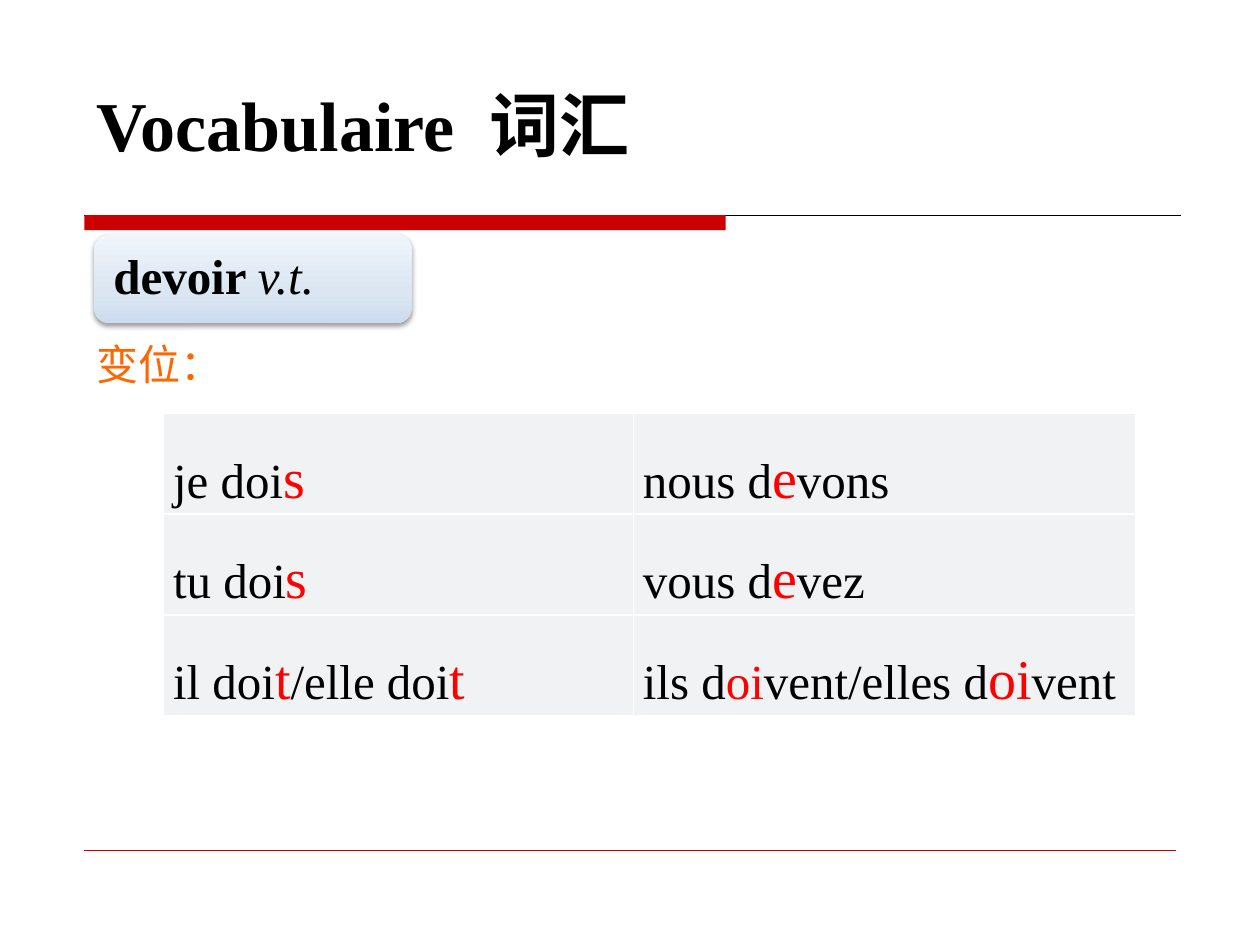
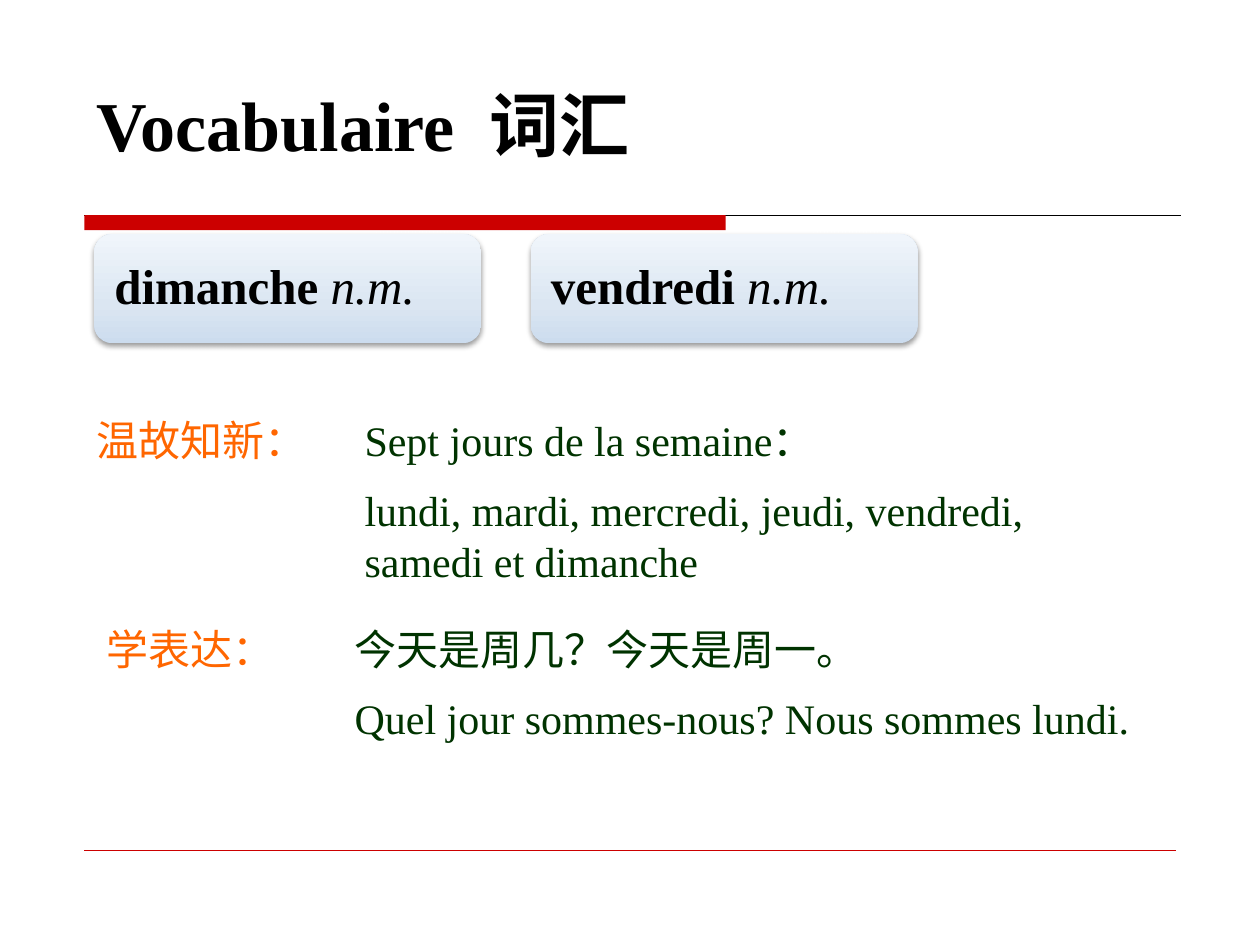
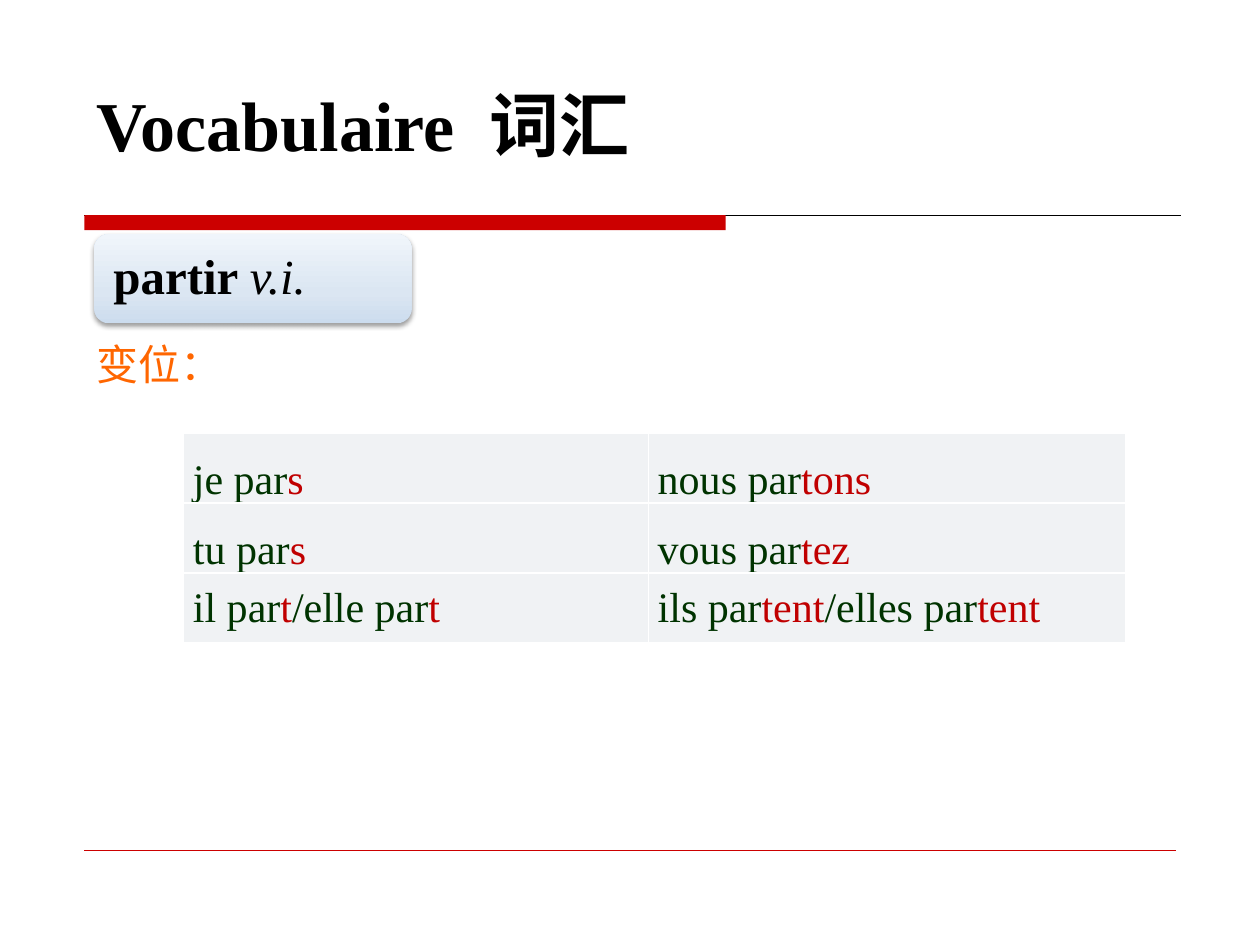
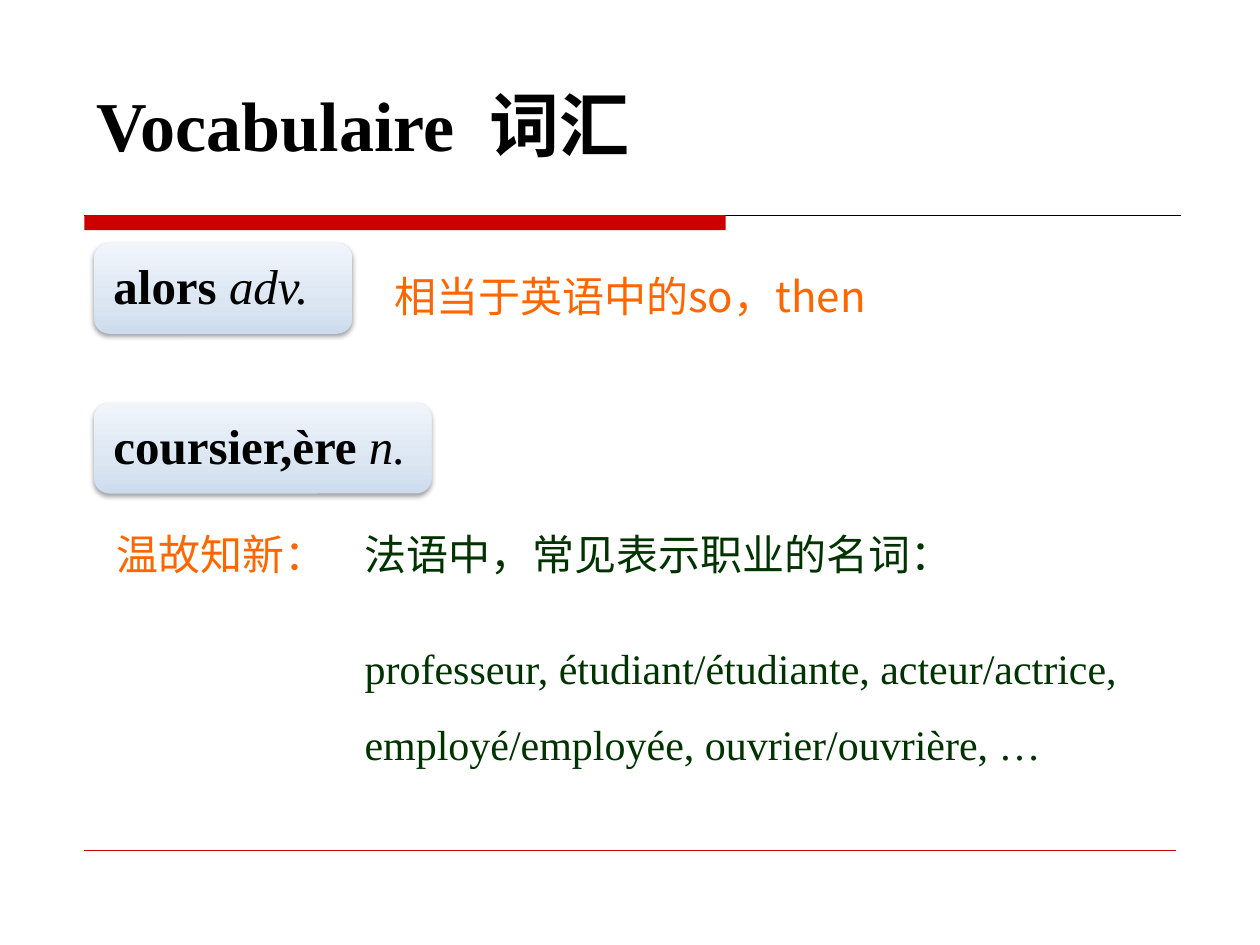
from lxml import etree
from pptx import Presentation
from pptx.dml.color import RGBColor
from pptx.enum.shapes import MSO_CONNECTOR, MSO_SHAPE
from pptx.enum.text import MSO_ANCHOR, MSO_AUTO_SIZE, PP_ALIGN
from pptx.oxml.ns import qn
from pptx.util import Cm, Pt

ROUNDED = MSO_SHAPE.ROUNDED_RECTANGLE
RECTANGLE = MSO_SHAPE.RECTANGLE
STRAIGHT = MSO_CONNECTOR.STRAIGHT
LEFT = PP_ALIGN.LEFT
JUSTIFY = PP_ALIGN.JUSTIFY
TOP = MSO_ANCHOR.TOP
MIDDLE = MSO_ANCHOR.MIDDLE
GROW = MSO_AUTO_SIZE.SHAPE_TO_FIT_TEXT
NO_FIT = MSO_AUTO_SIZE.NONE

LATIN = "Times New Roman"
CHINESE = "Noto Sans CJK SC"
BLACK = "000000"
WHITE = "FFFFFF"
BAND_RED = "CC0000"
ORANGE = "FF6600"
GREEN = "003300"
CELL_GREY = "F0F2F4"
WORD_GRADIENT = ((0, "CCDCEE"), (35, "DBE6F2"), (100, "F0F5FB"))

MARGIN = 1.7
TITLE_ONLY = 5


def color(value):
    return RGBColor.from_string(value)


def sub(parent, tag, **attributes):
    return etree.SubElement(parent, qn(tag), attributes)


def style(run, size, ink, face=LATIN, bold=False, italic=False):
    font = run.font
    font.name = face
    font.size = Pt(size)
    font.bold = bold
    font.italic = italic
    font.color.rgb = color(ink)
    sub(font._element, "a:ea", typeface=CHINESE)


def add_run(paragraph, text, *looks, **options):
    run = paragraph.add_run()
    run.text = text
    style(run, *looks, **options)
    return run


def add_rule(slide, left, right, y, ink, weight):
    rule = slide.shapes.add_connector(STRAIGHT, Cm(left), Cm(y), Cm(right), Cm(y))
    rule.line.color.rgb = color(ink)
    rule.line.width = Pt(weight)
    sub(rule._element.spPr, "a:effectLst")


def add_band(slide):
    band = slide.shapes.add_shape(RECTANGLE, Cm(MARGIN), Cm(4.34), Cm(12.93), Cm(0.3))
    band.shadow.inherit = False
    band.fill.solid()
    band.fill.fore_color.rgb = color(BAND_RED)
    band.line.fill.background()


def set_title(slide):
    title = slide.shapes.title
    title.left, title.top, title.width, title.height = Cm(MARGIN), Cm(1.52), Cm(19.8), Cm(1.96)
    frame = title.text_frame
    frame.word_wrap = True
    frame.auto_size = NO_FIT
    frame.vertical_anchor = TOP
    heading = frame.paragraphs[0]
    heading.alignment = LEFT
    add_run(heading, "Vocabulaire", 40, BLACK, bold=True)
    gap = add_run(heading, " ", 40, BLACK, bold=True)
    gap.font._element.set("spc", "1000")
    add_run(heading, "词汇", 40, BLACK, bold=True)


def add_vocabulary_slide(deck):
    slide = deck.slides.add_slide(deck.slide_layouts[TITLE_ONLY])
    add_rule(slide, MARGIN, 23.8, 4.34, BLACK, 0.75)
    add_band(slide)
    add_rule(slide, MARGIN, 23.7, 17.15, BAND_RED, 0.25)
    set_title(slide)
    return slide


def add_word(slide, word, category, left, top, width, height):
    card = slide.shapes.add_shape(ROUNDED, Cm(left), Cm(top), Cm(width), Cm(height))
    card.line.fill.background()
    card.fill.gradient()
    card.fill.gradient_angle = 90
    properties = card._element.spPr
    stops = properties.find(".//" + qn("a:gsLst"))
    stops.clear()
    for position, tint in WORD_GRADIENT:
        stop = sub(stops, "a:gs", pos=str(position * 1000))
        sub(stop, "a:srgbClr", val=tint)
    card.shadow.inherit = False
    shadow = sub(properties.find(qn("a:effectLst")), "a:outerShdw", blurRad=str(Pt(3.1)),
                 dist=str(Pt(1.6)), dir="5400000", rotWithShape="0")
    sub(sub(shadow, "a:srgbClr", val=BLACK), "a:alpha", val="38000")
    frame = card.text_frame
    frame.word_wrap = True
    frame.vertical_anchor = MIDDLE
    frame.margin_left = Cm(0.3)
    frame.margin_right = 0
    entry = frame.paragraphs[0]
    entry.alignment = LEFT
    entry.line_spacing = 0.9
    add_run(entry, word + " ", 28, BLACK, bold=True)
    add_run(entry, category, 28, BLACK, italic=True)


def add_text(slide, text, left, top, width, height=1.3, ink=GREEN, face=LATIN, spacing=None):
    box = slide.shapes.add_textbox(Cm(left), Cm(top), Cm(width), Cm(height))
    frame = box.text_frame
    frame.word_wrap = True
    frame.auto_size = GROW
    frame.text = text
    for paragraph in frame.paragraphs:
        paragraph.line_spacing = spacing
        for run in paragraph.runs:
            style(run, 24, ink, face)


def add_label(slide, text, left, top, width=5):
    add_text(slide, text, left, top, width, ink=ORANGE, face=CHINESE)


def add_borders(cell):
    properties = cell._tc.get_or_add_tcPr()
    for place, side in enumerate(("a:lnL", "a:lnR", "a:lnT", "a:lnB")):
        border = etree.Element(qn(side), w=str(Pt(1)))
        sub(sub(border, "a:solidFill"), "a:srgbClr", val=WHITE)
        properties.insert(place, border)


def fill_cell(cell, marked, plain, accent, spacing):
    cell.fill.solid()
    cell.fill.fore_color.rgb = color(CELL_GREY)
    cell.vertical_anchor = MIDDLE
    cell.margin_left = cell.margin_right = Cm(0.19)
    cell.margin_top = cell.margin_bottom = 0
    add_borders(cell)
    form = cell.text_frame.paragraphs[0]
    form.alignment = JUSTIFY
    form.line_spacing = spacing
    for index, part in enumerate(marked.split("|")):
        add_run(form, part, *(accent if index % 2 else plain))


def add_conjugation(slide, forms, left, top, widths, row_height, plain, accent, spacings):
    frame = slide.shapes.add_table(len(forms), len(widths), Cm(left), Cm(top),
                                   Cm(sum(widths)), Cm(row_height * len(forms)))
    table = frame.table
    table.first_row = False
    table.horz_banding = False
    for column, width in zip(table.columns, widths):
        column.width = Cm(width)
    for row, row_forms, spacing in zip(table.rows, forms, spacings):
        row.height = Cm(row_height)
        for cell, marked in zip(row.cells, row_forms):
            fill_cell(cell, marked, plain, accent, spacing)
    return table


def build_devoir(deck):
    slide = add_vocabulary_slide(deck)
    add_word(slide, "devoir", "v.t.", 1.9, 4.72, 6.4, 1.8)
    add_label(slide, "变位：", MARGIN, 6.7)
    forms = (("je doi|s", "nous d|e|vons"),
             ("tu doi|s", "vous d|e|vez"),
             ("il doi|t|/elle doi|t", "ils d|oi|vent/elles d|oi|vent"))
    table = add_conjugation(slide, forms, 3.3, 8.33, (9.47, 10.13), 2.03,
                            (28, BLACK), (32, "FF0000"), (1.5, 1.5, 1.5))
    ils_ending = table.cell(2, 1).text_frame.paragraphs[0].runs[1]
    ils_ending.font.size = Pt(28)


def build_days(deck):
    slide = add_vocabulary_slide(deck)
    for day, left in (("dimanche", 1.9), ("vendredi", 10.7)):
        add_word(slide, day, "n.m.", left, 4.72, 7.8, 2.2)
    add_label(slide, "温故知新：", MARGIN, 8.23)
    add_text(slide, "Sept jours de la semaine：", 7.1, 8.23, 15.4)
    add_text(slide, "lundi, mardi, mercredi, jeudi, vendredi, samedi et dimanche",
             7.1, 9.65, 14.2, 2.31)
    add_label(slide, "学表达：", 1.9, 12.45)
    add_text(slide, "今天是周几？今天是周一。", 6.9, 12.45, 15.4)
    add_text(slide, "Quel jour sommes-nous? Nous sommes lundi.", 6.9, 13.84, 16.2)


def build_partir(deck):
    slide = add_vocabulary_slide(deck)
    add_word(slide, "partir", "v.i.", 1.9, 4.72, 6.4, 1.8)
    add_label(slide, "变位：", MARGIN, 6.7)
    forms = (("je par|s", "nous par|tons"),
             ("tu par|s", "vous par|tez"),
             ("il par|t|/elle par|t", "ils par|tent|/elles par|tent"))
    add_conjugation(slide, forms, 3.7, 8.73, (9.37, 9.63), 1.4,
                    (24, GREEN), (24, "C00000"), (Pt(40), Pt(40), None))


def build_alors(deck):
    slide = add_vocabulary_slide(deck)
    add_word(slide, "alors", "adv.", 1.9, 4.9, 5.2, 1.83)
    add_label(slide, "相当于英语中的so，then", 7.7, 5.33, 11.8)
    add_word(slide, "coursier,ère", "n.", 1.9, 8.12, 6.8, 1.83)
    add_label(slide, "温故知新：", 2.1, 10.52, 5.2)
    add_text(slide, "法语中，常见表示职业的名词：", 7.1, 10.52, 15.8)
    add_text(slide, "professeur, étudiant/étudiante, acteur/actrice,\n"
                    "employé/employée, ouvrier/ouvrière, …",
             7.1, 12.32, 15.8, 3.15, spacing=1.5)


def main():
    deck = Presentation()
    deck.slide_width, deck.slide_height = Cm(25.4), Cm(19.05)
    for build in (build_devoir, build_days, build_partir, build_alors):
        build(deck)
    deck.save("out.pptx")


if __name__ == "__main__":
    main()
